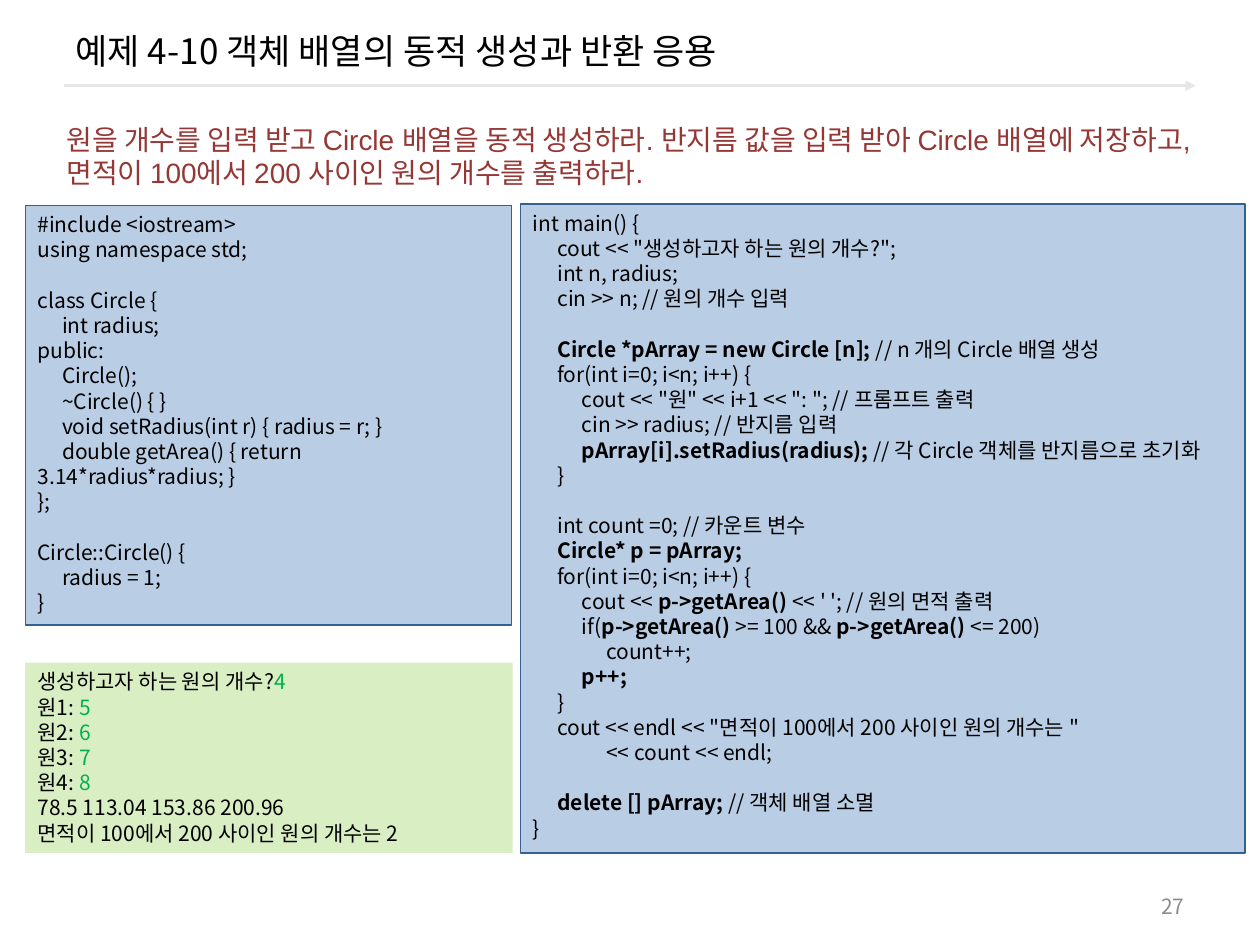
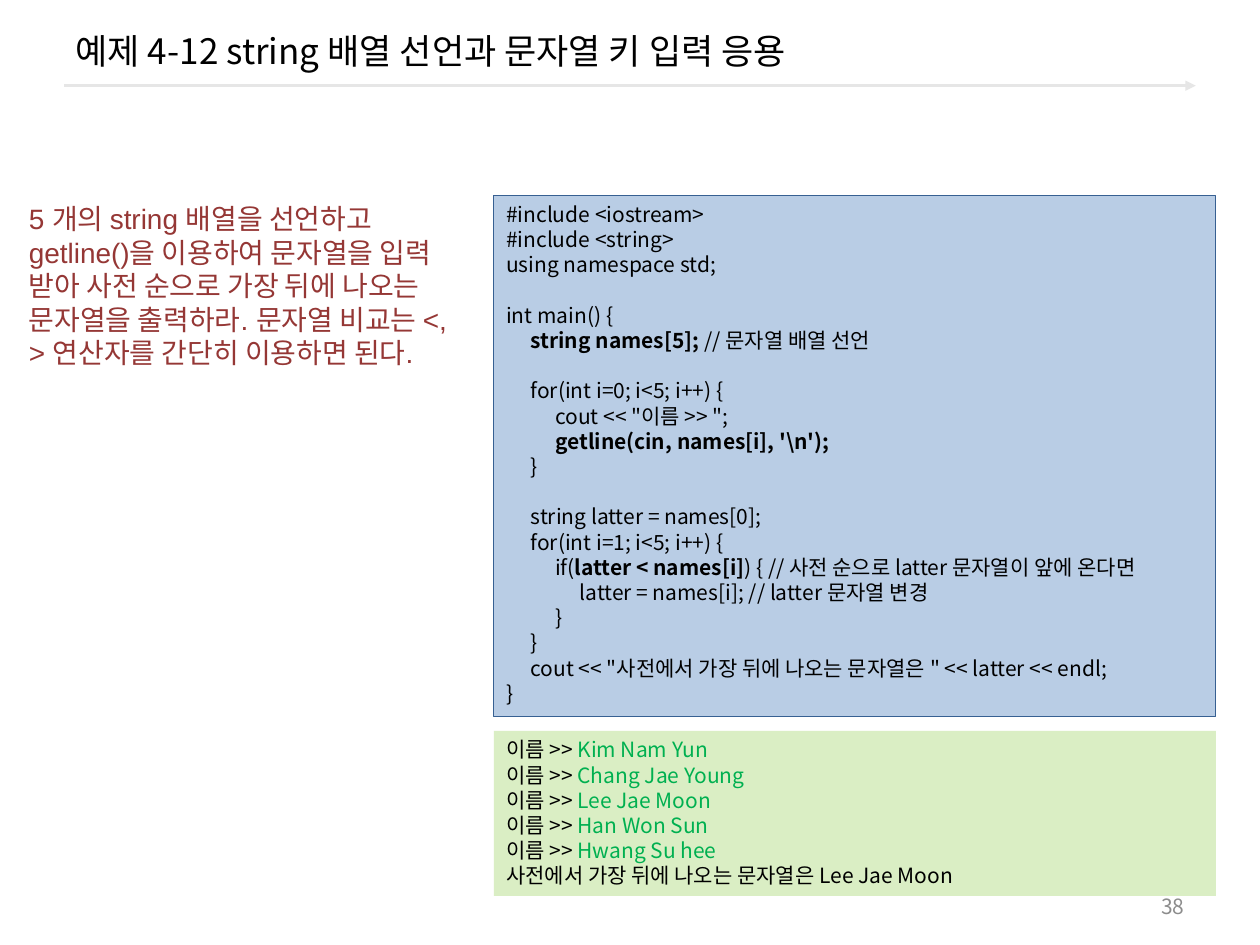
from lxml import etree
from pptx import Presentation
from pptx import util as u
from pptx.dml import color
from pptx.enum import shapes, text
from pptx.oxml import ns

Pt = u.Pt
BLACK = color.RGBColor(0x00, 0x00, 0x00)
RULE_GRAY = color.RGBColor(0xE6, 0xE6, 0xE6)
NUMBER_GRAY = color.RGBColor(0x8C, 0x8C, 0x8C)
CODE_BLUE = color.RGBColor(0xB9, 0xCD, 0xE5)
EDGE_BLUE = color.RGBColor(0x37, 0x60, 0x92)
OUTPUT_GREEN = color.RGBColor(0xDA, 0xEE, 0xC4)
INPUT_GREEN = color.RGBColor(0x00, 0xB0, 0x50)
TASK_RED = color.RGBColor(0x95, 0x37, 0x35)

KOREAN_FONT = "Noto Sans CJK KR"
TASK_FONT = "Arial"
LINE_PITCH = 1.2
TAB_WIDTH = 14
INDENT = "    "
MARK = "@"

CIRCLE_CLASS = """#include <iostream>
using namespace std;

class Circle {
    int radius;
public:
    Circle();
    ~Circle() { }
    void setRadius(int r) { radius = r; }
    double getArea() { return 3.14*radius*radius; }
};

Circle::Circle() {
    radius = 1;
}"""

CIRCLE_MAIN = """int main() {
    cout << "생성하고자 하는 원의 개수?";
    int n, radius;
    cin >> n; // 원의 개수 입력

    @Circle *pArray = new Circle [n]; @// n 개의 Circle 배열 생성
    for(int i=0; i<n; i++) {
        cout << "원" << i+1 << ": "; // 프롬프트 출력
        cin >> radius; // 반지름 입력
        @pArray[i].setRadius(radius); @// 각 Circle 객체를 반지름으로 초기화
    }

    int count =0; // 카운트 변수
    @Circle* p = pArray;@
    for(int i=0; i<n; i++) {
        cout << @p->getArea() @<< ' '; // 원의 면적 출력
        if(@p->getArea()@ >= 100 && @p->getArea() @<= 200)
            count++;
        @p++;@
    }
    cout << endl << "면적이 100에서 200 사이인 원의 개수는 "
            << count << endl;

    @delete [] pArray; @// 객체 배열 소멸
}"""

CIRCLE_OUTPUT = """생성하고자 하는 원의 개수?@4@
원1: @5@
원2: @6@
원3: @7@
원4: @8@
78.5 113.04 153.86 200.96
면적이 100에서 200 사이인 원의 개수는 2"""

NAMES_MAIN = r"""#include <iostream>
#include <string>
using namespace std;

int main() {
    @string names[5]; @// 문자열 배열 선언

    for(int i=0; i<5; i++) {
        cout << "이름 >> ";
        @getline(cin, names[i], '\n');@
    }

    string latter = names[0];
    for(int i=1; i<5; i++) {
        if(@latter < names[i]@) { // 사전 순으로 latter 문자열이 앞에 온다면
            latter = names[i]; // latter 문자열 변경
        }
    }
    cout << "사전에서 가장 뒤에 나오는 문자열은 " << latter << endl;
}"""

NAMES_OUTPUT = """이름 >> @Kim Nam Yun@
이름 >> @Chang Jae Young@
이름 >> @Lee Jae Moon@
이름 >> @Han Won Sun@
이름 >> @Hwang Su hee@
사전에서 가장 뒤에 나오는 문자열은 Lee Jae Moon"""


class LessonDeck:
    def __init__(self):
        self.deck = Presentation()
        self.deck.slide_width, self.deck.slide_height = Pt(720), Pt(540)
        self.page = None

    def start_page(self, title, number):
        self.page = self.deck.slides.add_slide(self.deck.slide_layouts[5])
        self.rule()
        self.title(title)
        self.number(number)

    def format_span(self, span, size, ink, font=KOREAN_FONT, bold=False):
        span.font.size = Pt(size)
        span.font.name = font
        span.font.bold = bold
        span.font.color.rgb = ink
        east_asian = etree.SubElement(span.font._element, ns.qn("a:ea"))
        east_asian.set("typeface", KOREAN_FONT)

    def rule(self):
        line = self.page.shapes.add_connector(
            shapes.MSO_CONNECTOR.STRAIGHT, Pt(36.7), Pt(49), Pt(683.3), Pt(49))
        line.line.color.rgb = RULE_GRAY
        line.line.width = Pt(1.5)
        outline = line.line._get_or_add_ln()
        etree.SubElement(outline, ns.qn("a:tailEnd")).set("type", "triangle")
        etree.SubElement(line._element.spPr, ns.qn("a:effectLst"))

    def title(self, words):
        box = self.page.shapes.title
        box.left, box.top, box.width, box.height = Pt(36), Pt(5.8), Pt(648), Pt(46)
        frame = box.text_frame
        frame.text = words
        frame.vertical_anchor = text.MSO_ANCHOR.MIDDLE
        para = frame.paragraphs[0]
        para.alignment = text.PP_ALIGN.LEFT
        self.format_span(para.runs[0], 20, BLACK)

    def text_box(self, words, left, top, width, height):
        box = self.page.shapes.add_textbox(Pt(left), Pt(top), Pt(width), Pt(height))
        box.text_frame.word_wrap = True
        box.text_frame.text = words
        return box.text_frame

    def number(self, number):
        frame = self.text_box(str(number), 516, 506, 168, 23)
        frame.vertical_anchor = text.MSO_ANCHOR.MIDDLE
        para = frame.paragraphs[0]
        para.alignment = text.PP_ALIGN.RIGHT
        self.format_span(para.runs[0], 12, NUMBER_GRAY)

    def task(self, words, left, top, width, height):
        para = self.text_box(words, left, top, width, height).paragraphs[0]
        para.line_spacing = Pt(16 * LINE_PITCH)
        self.format_span(para.runs[0], 16, TASK_RED, TASK_FONT)

    def panel(self, listing, left, top, width, height, fill, accent, bold):
        box = self.page.shapes.add_shape(
            shapes.MSO_SHAPE.RECTANGLE, Pt(left), Pt(top), Pt(width), Pt(height))
        box.shadow.inherit = False
        box.fill.solid()
        box.fill.fore_color.rgb = fill
        frame = box.text_frame
        frame.word_wrap = True
        frame.vertical_anchor = text.MSO_ANCHOR.TOP
        frame.text = listing.replace(MARK, "").replace(INDENT, "\t")
        for para, line in zip(frame.paragraphs, listing.split("\n")):
            self.format_line(para, line.replace(INDENT, "\t"), accent, bold)
        return box

    def format_line(self, para, line, accent, bold):
        para.alignment = text.PP_ALIGN.LEFT
        para.line_spacing = Pt(12 * LINE_PITCH)
        stops = etree.SubElement(para._p.get_or_add_pPr(), ns.qn("a:tabLst"))
        for step in (1, 2, 3):
            stop = etree.SubElement(stops, ns.qn("a:tab"))
            stop.set("pos", str(Pt(TAB_WIDTH * step)))
            stop.set("algn", "l")
        para.clear()
        for index, part in enumerate(line.split(MARK)):
            if part:
                marked = index % 2 == 1
                span = para.add_run()
                span.text = part
                self.format_span(span, 12, accent if marked else BLACK,
                                 bold=marked and bold)

    def code(self, listing, left, top, width, height):
        box = self.panel(listing, left, top, width, height, CODE_BLUE, BLACK, True)
        box.line.color.rgb = EDGE_BLUE
        box.line.width = Pt(0.75)

    def output(self, listing, left, top, width, height):
        box = self.panel(listing, left, top, width, height,
                         OUTPUT_GREEN, INPUT_GREEN, False)
        box.line.fill.background()


def main():
    lesson = LessonDeck()

    lesson.start_page("예제 4-10 객체 배열의 동적 생성과 반환 응용", 27)
    lesson.output(CIRCLE_OUTPUT, 14.4, 378.7, 278.6, 108.7)
    lesson.code(CIRCLE_CLASS, 14.4, 117.4, 278, 239.8)
    lesson.code(CIRCLE_MAIN, 297.4, 116.6, 414, 370.8)
    lesson.task("원을 개수를 입력 받고 Circle 배열을 동적 생성하라. "
                "반지름 값을 입력 받아 Circle 배열에 저장하고, "
                "면적이 100에서 200 사이인 원의 개수를 출력하라.",
                31, 66.2, 663.8, 46)

    lesson.start_page("예제 4-12 string 배열 선언과 문자열 키 입력 응용", 38)
    lesson.output(NAMES_OUTPUT, 282.2, 417.6, 412.6, 94.3)
    lesson.code(NAMES_MAIN, 282.2, 111.6, 412.6, 298)
    lesson.task("5 개의 string 배열을 선언하고 getline()을 이용하여 "
                "문자열을 입력 받아 사전 순으로 가장 뒤에 나오는 문자열을 출력하라. "
                "문자열 비교는 <, > 연산자를 간단히 이용하면 된다.",
                9.4, 111.6, 265.7, 123.8)

    lesson.deck.save("out.pptx")


if __name__ == "__main__":
    main()
